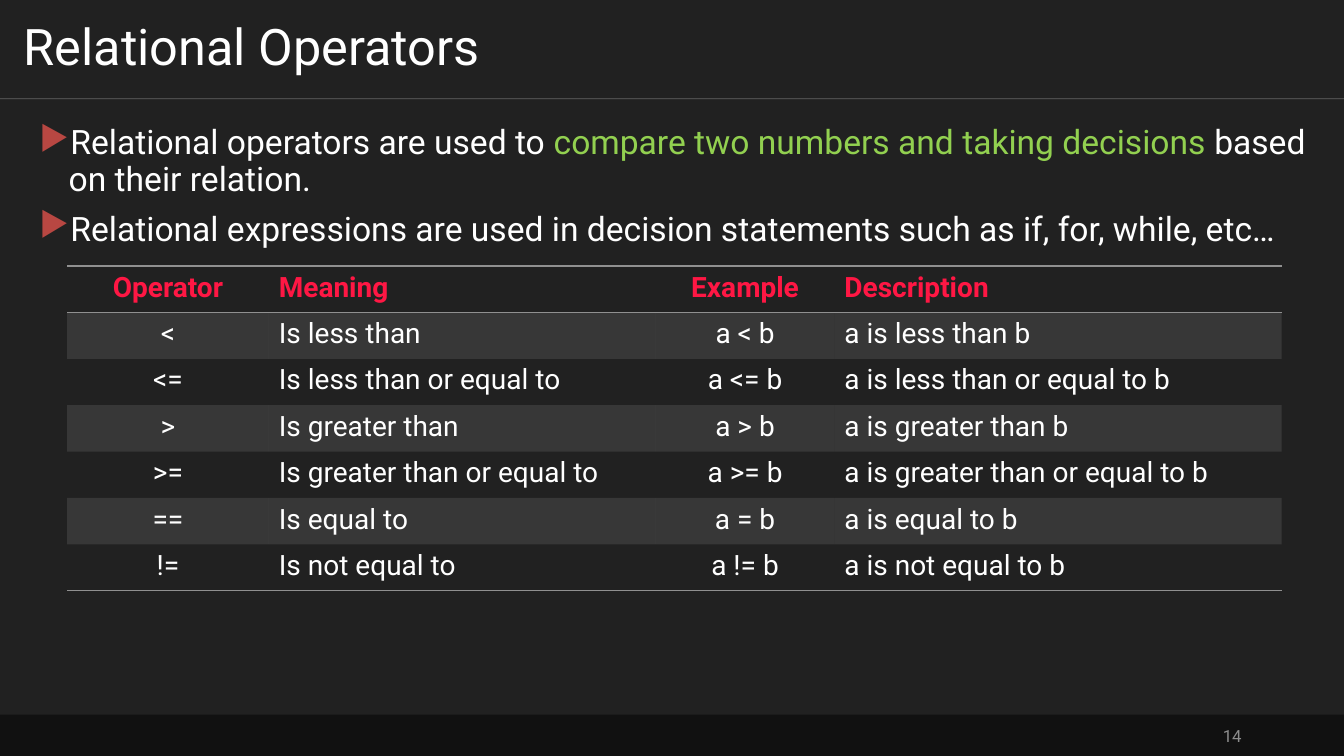
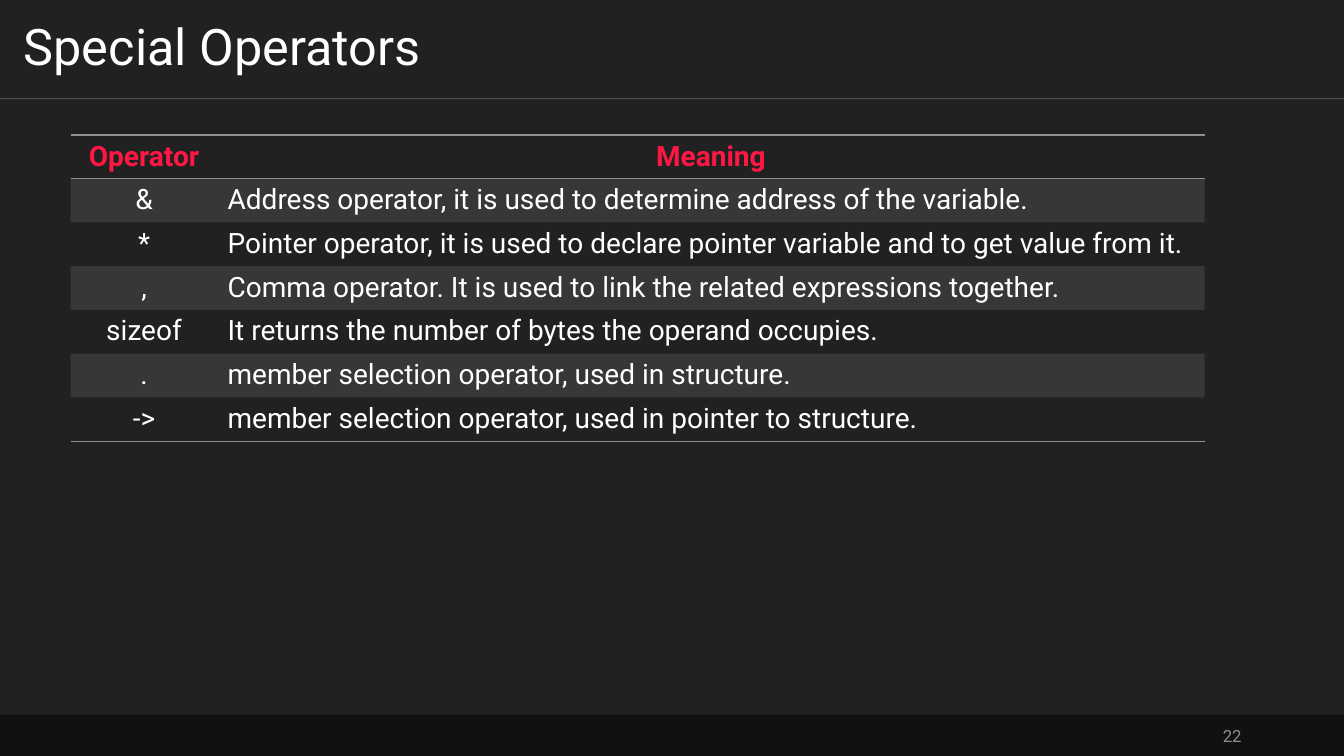
from dataclasses import dataclass

from lxml.etree import SubElement
from pptx import Presentation
from pptx.dml.color import RGBColor
from pptx.enum.shapes import MSO_CONNECTOR, MSO_SHAPE
from pptx.enum.text import MSO_ANCHOR as Anchor, MSO_AUTO_SIZE, PP_ALIGN as Align
from pptx.oxml.ns import qn
from pptx.util import Pt


@dataclass(frozen=True)
class Theme:
    font: str = "Roboto"
    page: str = "212121"
    footer: str = "111111"
    text: str = "FFFFFF"
    muted: str = "8D8D8D"
    rule: str = "909090"
    header: str = "FF1744"
    highlight: str = "92D050"
    bullet: str = "B84742"
    title_size: float = 36
    body_size: float = 24
    table_size: float = 20
    number_size: float = 12
    divider_opacity: int = 30
    band_opacity: int = 20


@dataclass(frozen=True)
class Box:
    left: float
    top: float
    width: float
    height: float

    @property
    def lengths(self):
        return Pt(self.left), Pt(self.top), Pt(self.width), Pt(self.height)


THEME = Theme()
PAGE = Box(0, 0, 960, 540)
TITLE = Box(0, 0, PAGE.width, 70.5)
FOOTER = Box(0, 510.5, PAGE.width, 29.5)
BODY = Box(21, 86.4, 918.6, 411)
NO_STYLE_NO_GRID = "{2D5ABB26-0587-4C30-8999-92F81FD0307C}"
LEFT, CENTER = Align.LEFT, Align.CENTER


def rgb(color):
    return RGBColor.from_string(color)


def style_font(font, size, color, bold=False):
    font.name = THEME.font
    font.size = Pt(size)
    font.bold = bold
    font.color.rgb = rgb(color)


def set_opacity(solid_fill, percent):
    SubElement(solid_fill.find(qn("a:srgbClr")), qn("a:alpha"), val=str(percent * 1000))


def add_title(page, box, text):
    title = page.shapes.title
    title.left, title.top, title.width, title.height = box.lengths
    frame = title.text_frame
    frame.text = text
    frame.word_wrap = True
    frame.auto_size = MSO_AUTO_SIZE.NONE
    frame.vertical_anchor = Anchor.MIDDLE
    frame.margin_left = frame.margin_right = Pt(17)
    frame.margin_top = frame.margin_bottom = Pt(8.5)
    para = frame.paragraphs[0]
    para.alignment = LEFT
    para.line_spacing = 0.9
    style_font(para.font, THEME.title_size, THEME.text)

    bottom = Pt(box.top + box.height)
    divider = page.shapes.add_connector(
        MSO_CONNECTOR.STRAIGHT, Pt(box.left), bottom, Pt(box.left + box.width), bottom
    )
    divider.line.width = Pt(0.5)
    divider.line.color.rgb = rgb(THEME.text)
    properties = divider._element.spPr
    set_opacity(properties.find(qn("a:ln")).find(qn("a:solidFill")), THEME.divider_opacity)
    SubElement(properties, qn("a:effectLst"))


def add_footer(page, box, number):
    band = page.shapes.add_shape(MSO_SHAPE.RECTANGLE, *box.lengths)
    band.shadow.inherit = False
    band.fill.solid()
    band.fill.fore_color.rgb = rgb(THEME.footer)
    band.line.fill.background()

    number_width, right_gap = 216, 66
    number_left = box.left + box.width - right_gap - number_width
    number_box = Box(number_left, box.top + 0.5, number_width, box.height - 0.5)
    frame = page.shapes.add_textbox(*number_box.lengths).text_frame
    frame.word_wrap = True
    frame.vertical_anchor = Anchor.MIDDLE
    para = frame.paragraphs[0]
    para.text = str(number)
    para.alignment = Align.RIGHT
    style_font(para.font, THEME.number_size, THEME.muted)


def add_bullet(para):
    properties = para._p.get_or_add_pPr()
    properties.set("marL", str(Pt(21)))
    properties.set("indent", str(-Pt(21)))
    color = SubElement(properties, qn("a:buClr"))
    SubElement(color, qn("a:srgbClr"), val=THEME.bullet)
    SubElement(properties, qn("a:buChar"), char="▶")


def add_bullet_list(page, box, items):
    """Each item is a list of (text, color) spans."""
    frame = page.shapes.add_textbox(*box.lengths).text_frame
    frame.word_wrap = True
    for index, spans in enumerate(items):
        para = frame.add_paragraph() if index else frame.paragraphs[0]
        para.alignment = Align.JUSTIFY
        para.line_spacing = 0.9
        para.space_before = Pt(10)
        add_bullet(para)
        style_font(para.font, THEME.body_size, THEME.text)
        for text, color in spans:
            span = para.add_run()
            span.text = text
            style_font(span.font, THEME.body_size, color)


def add_border(cell, side):
    border = SubElement(cell._tc.get_or_add_tcPr(), qn(f"a:ln{side}"), w=str(Pt(1)))
    fill = SubElement(border, qn("a:solidFill"))
    SubElement(fill, qn("a:srgbClr"), val=THEME.rule)


def fill_cell(cell, banded):
    if not banded:
        cell.fill.background()
        return
    cell.fill.solid()
    cell.fill.fore_color.rgb = rgb(THEME.rule)
    set_opacity(cell._tc.tcPr.find(qn("a:solidFill")), THEME.band_opacity)


def add_operator_table(page, box, widths, rows, header_aligns, body_aligns):
    """The first row is the header; every second row after it is banded."""
    table = page.shapes.add_table(len(rows), len(widths), *box.lengths).table
    table.first_row = table.horz_banding = False
    table._tbl.tblPr.find(qn("a:tableStyleId")).text = NO_STYLE_NO_GRID
    for column, width in zip(table.columns, widths):
        column.width = Pt(width)
    for row in table.rows:
        row.height = Pt(box.height / len(rows))

    last = len(rows) - 1
    for row_index, texts in enumerate(rows):
        is_header = row_index == 0
        aligns = header_aligns if is_header else body_aligns
        sides = "TB" if is_header else "B" if row_index == last else ""
        for column_index, text in enumerate(texts):
            cell = table.cell(row_index, column_index)
            for side in sides:
                add_border(cell, side)
            fill_cell(cell, row_index % 2 == 1)
            para = cell.text_frame.paragraphs[0]
            para.text = text
            para.alignment = aligns[column_index]
            color = THEME.header if is_header else THEME.text
            style_font(para.font, THEME.table_size, color, bold=is_header)


def add_page(deck, title, number):
    page = deck.slides.add_slide(deck.slide_layouts[5])
    add_footer(page, FOOTER, number)
    add_title(page, TITLE, title)
    return page


def add_relational_page(deck):
    page = add_page(deck, "Relational Operators", 14)
    add_bullet_list(page, BODY, [
        [
            ("Relational operators are used to ", THEME.text),
            ("compare two numbers and taking decisions ", THEME.highlight),
            ("based on their relation.", THEME.text),
        ],
        [(
            "Relational expressions are used in decision statements "
            "such as if, for, while, etc…",
            THEME.text,
        )],
    ])
    # Operator, its meaning, and the sign shown in the example
    operators = [
        ("<", "less than", "<"),
        ("<=", "less than or equal to", "<="),
        (">", "greater than", ">"),
        (">=", "greater than or equal to", ">="),
        ("==", "equal to", "="),
        ("!=", "not equal to", "!="),
    ]
    rows = [("Operator", "Meaning", "Example", "Description")] + [
        (operator, f"Is {meaning}", f"a {sign} b", f"a is {meaning} b")
        for operator, meaning, sign in operators
    ]
    aligns = (CENTER, LEFT, CENTER, LEFT)
    widths = (144, 276.5, 127.5, 319.5)
    table_box = Box(48, 190, sum(widths), 232)
    add_operator_table(page, table_box, widths, rows, aligns, aligns)


def add_special_page(deck):
    page = add_page(deck, "Special Operators", 22)
    rows = [
        ("Operator", "Meaning"),
        ("&", "Address operator, it is used to determine address of the variable."),
        ("*", "Pointer operator, it is used to declare pointer variable "
              "and to get value from it."),
        (",", "Comma operator. It is used to link the related expressions together."),
        ("sizeof", "It returns the number of bytes the operand occupies."),
        (".", "member selection operator, used in structure."),
        ("->", "member selection operator, used in pointer to structure."),
    ]
    widths = (105, 705)
    table_box = Box(50.4, 96.4, sum(widths), 215.4)
    add_operator_table(page, table_box, widths, rows, (CENTER, CENTER), (CENTER, LEFT))


def main():
    deck = Presentation()
    deck.slide_width, deck.slide_height = Pt(PAGE.width), Pt(PAGE.height)
    background = deck.slide_master.background.fill
    background.solid()
    background.fore_color.rgb = rgb(THEME.page)
    add_relational_page(deck)
    add_special_page(deck)
    deck.save("out.pptx")


if __name__ == "__main__":
    main()
